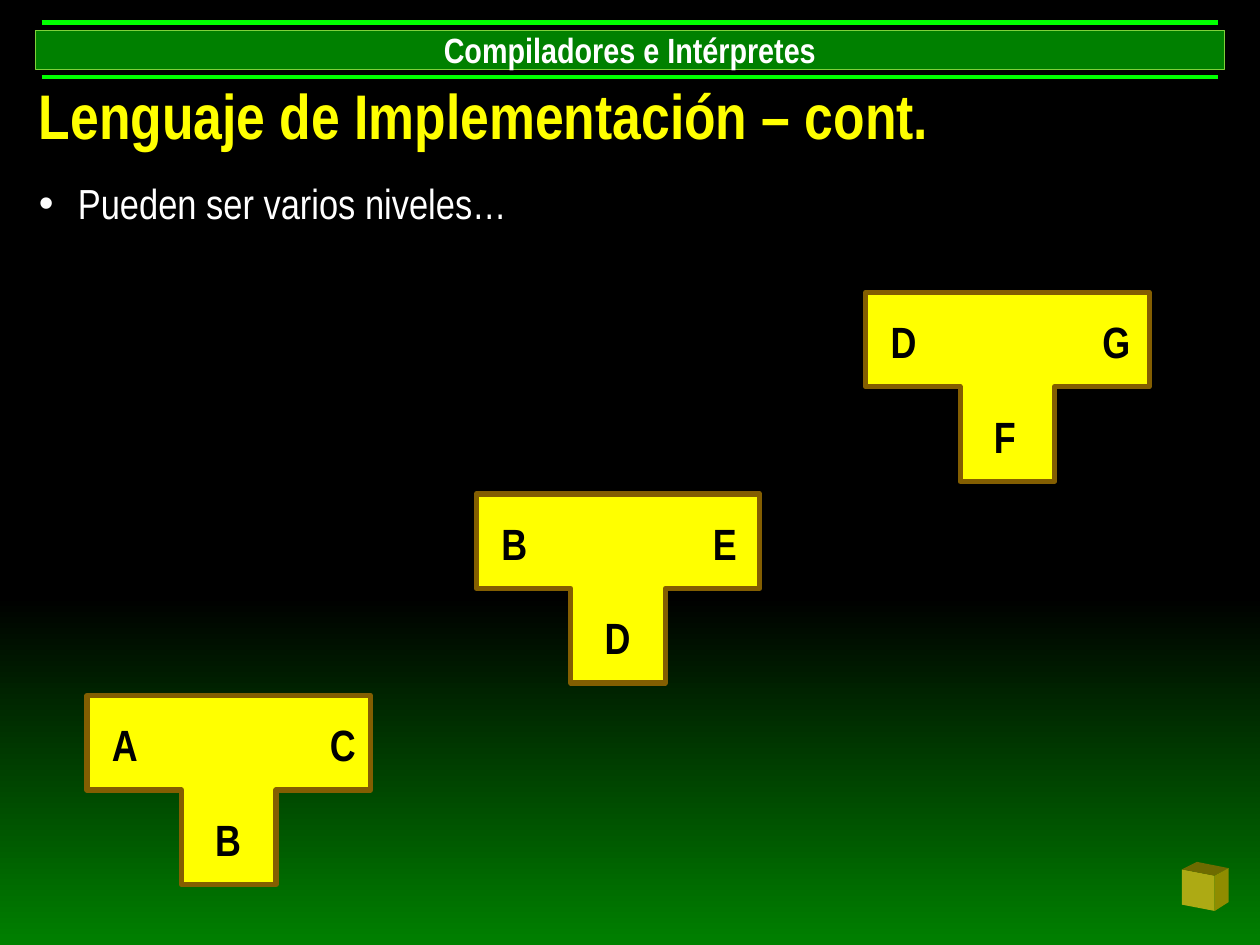
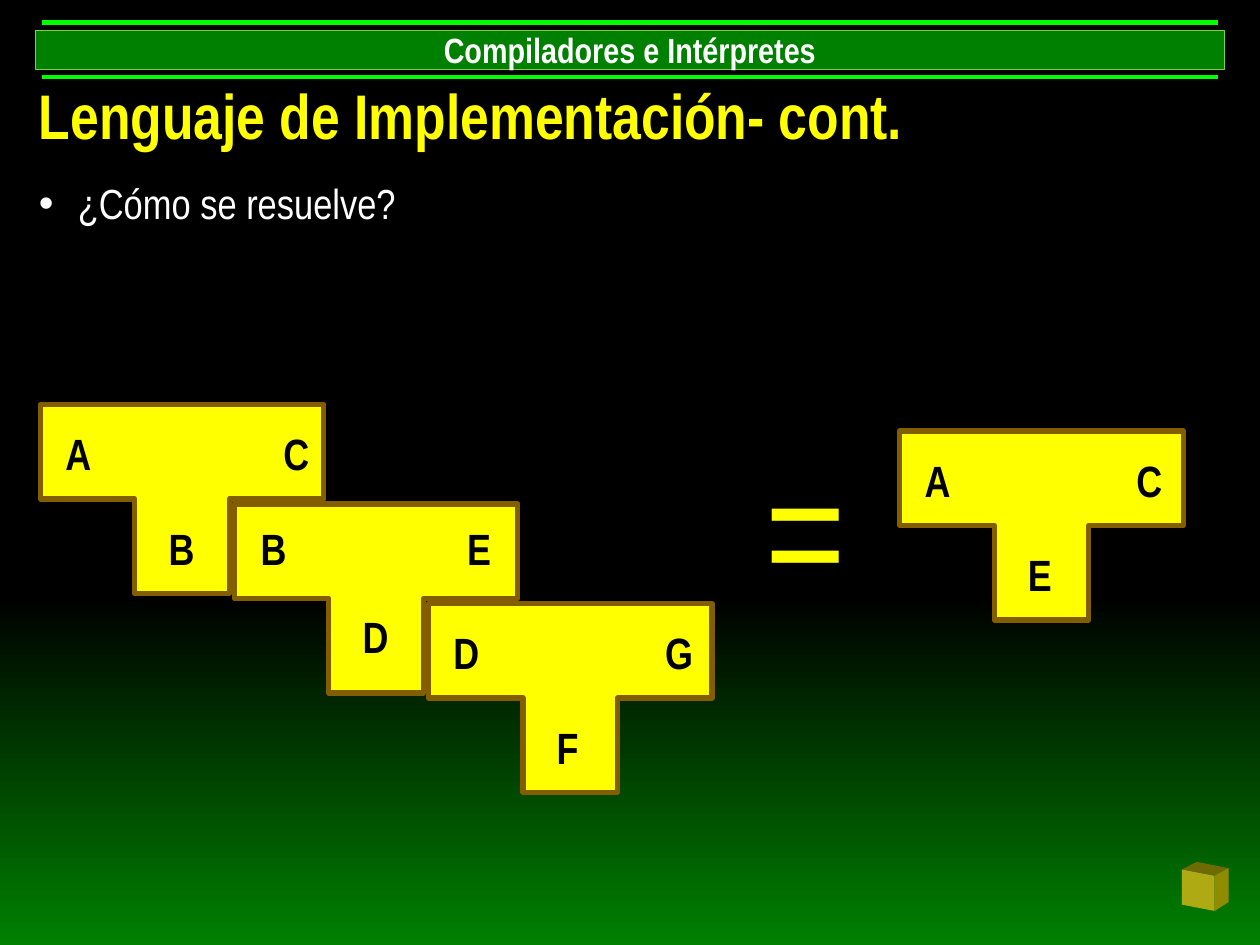
from copy import deepcopy

from lxml.etree import SubElement
from pptx import Presentation
from pptx.dml.color import RGBColor
from pptx.enum.shapes import MSO_CONNECTOR, MSO_SHAPE
from pptx.enum.text import MSO_ANCHOR, PP_ALIGN
from pptx.oxml.ns import qn
from pptx.util import Inches, Pt

COURSE = "Compiladores e Intérpretes"
FONT = "Arial Narrow"
BLACK, WHITE, YELLOW = "000000", "FFFFFF", "FFFF00"
GREEN, BRIGHT_GREEN, LIME, BROWN = "008000", "00FF00", "7FD13B", "835E01"

WIDTH, HEIGHT = 10, 7.5
BAND_LEFT, RULE_LEFT = 0.28, 0.33
RULE_TOPS = (0.18, 0.61)
TEE_SIZE = (2.25, 1.5)
LETTER_SIZE = (0.41, 0.52)
# Where each letter box sits inside a tee: source, target, implementation.
LETTER_OFFSETS = ((0.1, 0.13), (1.78, 0.13), (0.92, 0.88))
WIDE_OFFSETS = ((0.1, 0.13), (1.83, 0.13), (0.92, 0.88))
RAISED_OFFSETS = ((0.11, 0.09), (1.75, 0.09), (0.92, 0.79))

# Source, target and implementation language of each compiler.
COMPILERS = (("ACB", WIDE_OFFSETS), ("BED", LETTER_OFFSETS), ("DGF", LETTER_OFFSETS))
CHAINED = (COMPILERS[0], ("BED", RAISED_OFFSETS), COMPILERS[2])

SLIDES = [
    {"title": "Lenguaje de Implementación – cont.",
     "bullet": "Pueden ser varios niveles…",
     "start": (0.69, 5.52), "step": (3.09, -1.6), "tees": COMPILERS},
    {"title": "Lenguaje de Implementación- cont.",
     "bullet": "¿Cómo se resuelve?",
     "start": (0.32, 3.21), "step": (1.54, 0.79), "tees": CHAINED,
     "equals": (5.98, 3.31), "result": (7.14, 3.42, "ACE")},
]

# Corners in hundredths of an inch.
CUBE_FACES = {
    "ADAA14": ((938, 690), (964, 695), (964, 723), (938, 718)),
    "6E6B00": ((938, 690), (950, 684), (975, 689), (964, 695)),
    "8F8C00": ((964, 695), (975, 689), (975, 716), (964, 723)),
}


def color(hex_string):
    return RGBColor.from_string(hex_string)


def paint(shape, fill, line=None, line_width=1):
    shape.shadow.inherit = False
    shape.fill.solid()
    shape.fill.fore_color.rgb = color(fill)
    if line:
        shape.line.color.rgb = color(line)
        shape.line.width = Pt(line_width)
    else:
        shape.line.fill.background()


def write(paragraph, text, size, font_color, bold=False):
    run = paragraph.add_run()
    run.text = text
    run.font.name = FONT
    run.font.size = Pt(size)
    run.font.bold = bold
    run.font.color.rgb = color(font_color)


def add_text(slide, text, left, top, width, height, **text_format):
    box = slide.shapes.add_textbox(*map(Inches, (left, top, width, height)))
    box.text_frame.word_wrap = False
    write(box.text_frame.paragraphs[0], text, **text_format)


def add_background(slide):
    fill = slide.background.fill
    fill.gradient()
    fill.gradient_angle = 270
    first, last = fill.gradient_stops
    first.color.rgb, last.color.rgb = color(BLACK), color(GREEN)
    first.position, last.position = 0, 1
    stops = slide.background._cSld.find(".//" + qn("a:gsLst"))
    middle = deepcopy(stops[0])
    middle.set("pos", "63000")
    stops.insert(1, middle)


def add_header(slide):
    band = slide.shapes.add_shape(
        MSO_SHAPE.RECTANGLE, Inches(BAND_LEFT), Inches(0.24),
        Inches(WIDTH - 2 * BAND_LEFT), Inches(0.31))
    paint(band, GREEN, LIME, 0.75)
    frame = band.text_frame
    frame.word_wrap = False
    frame.margin_top = frame.margin_bottom = 0
    frame.vertical_anchor = MSO_ANCHOR.MIDDLE
    frame.paragraphs[0].alignment = PP_ALIGN.CENTER
    write(frame.paragraphs[0], COURSE, 20, WHITE, bold=True)
    for top in RULE_TOPS:
        rule = slide.shapes.add_connector(
            MSO_CONNECTOR.STRAIGHT, Inches(RULE_LEFT), Inches(top),
            Inches(WIDTH - RULE_LEFT), Inches(top))
        rule.line.color.rgb = color(BRIGHT_GREEN)
        rule.line.width = Pt(2.5)
        SubElement(rule._element.spPr, qn("a:effectLst"))


def add_cube(slide):
    for fill, corners in CUBE_FACES.items():
        builder = slide.shapes.build_freeform(*corners[0], scale=Inches(0.01))
        builder.add_line_segments(corners[1:], close=True)
        paint(builder.convert_to_shape(), fill)


def add_heading(slide, title, bullet):
    box = slide.shapes.add_textbox(*map(Inches, (0.21, 0.57, 9.58, 1.31)))
    frame = box.text_frame
    frame.word_wrap = True
    frame.margin_top = Inches(0.04)
    write(frame.paragraphs[0], title, 36, YELLOW, bold=True)
    paragraph = frame.add_paragraph()
    paragraph.space_before = Pt(14.5)
    write(paragraph, bullet, 24, WHITE)
    properties = paragraph._p.get_or_add_pPr()
    indent = Inches(0.31)
    properties.set("marL", str(indent))
    properties.set("indent", str(-indent))
    SubElement(properties, qn("a:buFont"), typeface="Arial")
    SubElement(properties, qn("a:buChar"), char="•")


def add_tee(slide, left, top, letters, offsets=LETTER_OFFSETS):
    """Draw a T diagram: source and target on the bar, implementation on the stem."""
    tee = slide.shapes.add_shape(
        MSO_SHAPE.DOWN_ARROW_CALLOUT, *map(Inches, (left, top, *TEE_SIZE)))
    for index, value in enumerate((0.5, 0.25, 0, 0.5)):
        tee.adjustments[index] = value
    paint(tee, YELLOW, BROWN, 3)
    SubElement(tee.line._get_or_add_ln(), qn("a:round"))
    for letter, (across, down) in zip(letters, offsets):
        add_text(slide, letter, left + across, top + down, *LETTER_SIZE,
                 size=25, font_color=BLACK, bold=True)


def build_slide(presentation, content):
    slide = presentation.slides.add_slide(presentation.slide_layouts[6])
    add_background(slide)
    add_heading(slide, content["title"], content["bullet"])
    add_cube(slide)
    add_header(slide)
    (left, top), (step_x, step_y) = content["start"], content["step"]
    for index, (letters, offsets) in enumerate(content["tees"]):
        add_tee(slide, left + index * step_x, top + index * step_y, letters, offsets)
    if "result" in content:
        add_text(slide, "=", *content["equals"], 0.85, 1.72, size=96, font_color=YELLOW)
        add_tee(slide, *content["result"])


def main():
    presentation = Presentation()
    presentation.slide_width, presentation.slide_height = Inches(WIDTH), Inches(HEIGHT)
    for content in SLIDES:
        build_slide(presentation, content)
    presentation.save("out.pptx")


if __name__ == "__main__":
    main()
